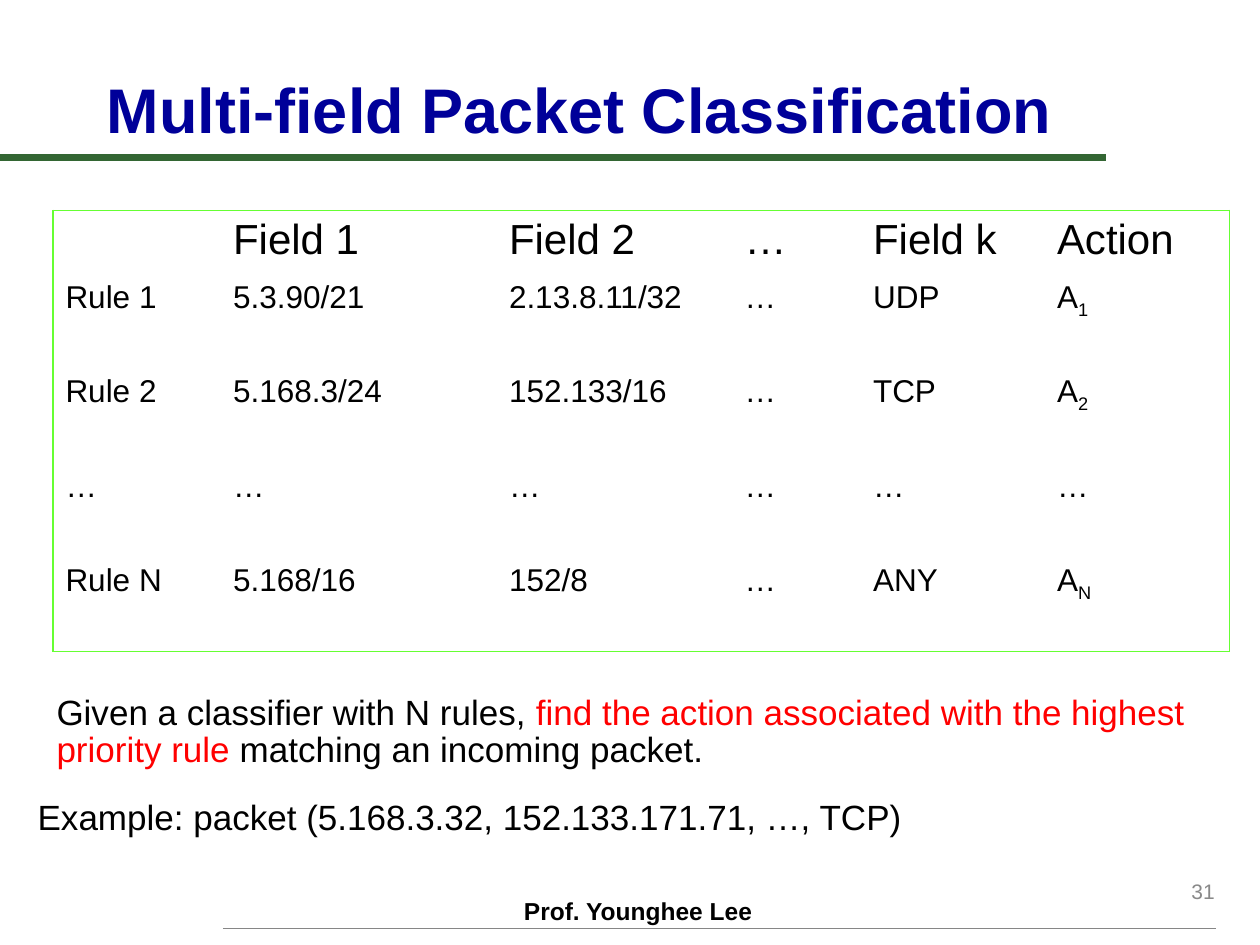
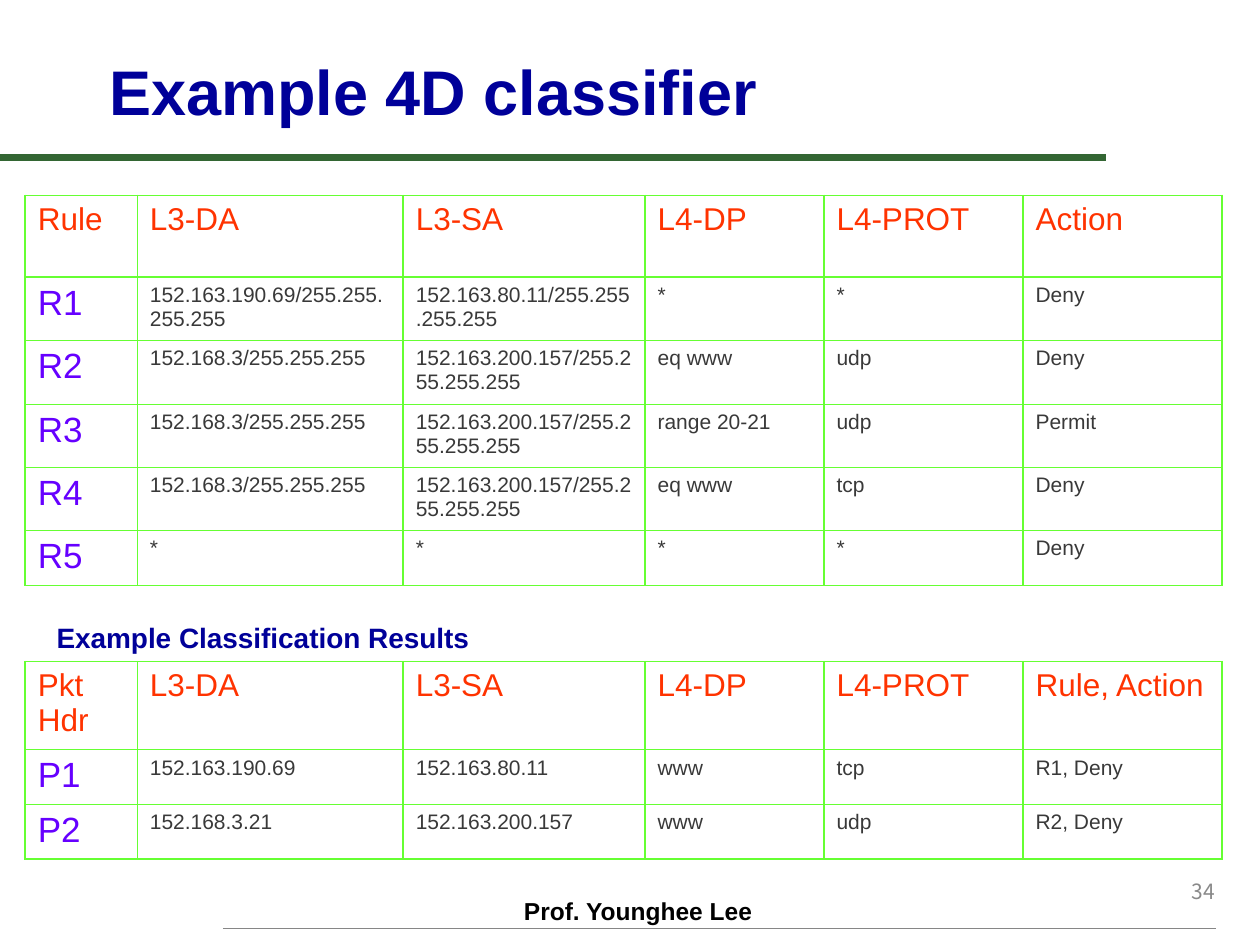
from lxml import etree
from pptx import Presentation
from pptx.dml.color import RGBColor
from pptx.enum.shapes import MSO_CONNECTOR
from pptx.enum.text import MSO_ANCHOR, PP_ALIGN
from pptx.oxml.ns import qn
from pptx.util import Inches, Pt

FONT = "Arial"
NAVY, BLACK, GREY, RED = "000099", "000000", "898989", "FF0000"
BAND_GREEN, RULE_GREY, BORDER_GREEN = "336633", "868686", "66FF33"
HEADER_ORANGE, LABEL_VIOLET, CELL_GREY = "FF3300", "6600FF", "393939"

FOOTER = "Prof. Younghee Lee"
# (from x, to x, y, colour, width in points)
MASTER_LINES = [(0, 8.78, 1.25, BAND_GREEN, 4), (1.77, 9.65, 7.37, RULE_GREY, 1)]

# A tuple in a cell is (text, subscript).
FIELD_ROWS = [
    ["", "Field 1", "Field 2", "…", "Field k", "Action"],
    ["Rule 1", "5.3.90/21", "2.13.8.11/32", "…", "UDP", ("A", "1")],
    ["Rule 2", "5.168.3/24", "152.133/16", "…", "TCP", ("A", "2")],
    ["…"] * 6,
    ["Rule N", "5.168/16", "152/8", "…", "ANY", ("A", "N")],
]
FIELD_COLUMNS = [1.33, 2.19, 1.87, 1.02, 1.46, 1.47]
FIELD_HEIGHTS = [0.5, 0.75, 0.75, 0.75, 0.75]

PROBLEM = [
    ("Given a classifier with N rules, ", BLACK),
    ("find the action associated with the highest priority rule", RED),
    (" matching an incoming packet.", BLACK),
]
EXAMPLE = [("Example: packet (5.168.3.32, 152.133.171.71, …, TCP)", BLACK)]

RULE_ROWS = [
    ["Rule", "L3-DA", "L3-SA", "L4-DP", "L4-PROT", "Action"],
    ["R1", "152.163.190.69/255.255.255.255", "152.163.80.11/255.255.255.255", "*", "*", "Deny"],
    ["R2", "152.168.3/255.255.255", "152.163.200.157/255.255.255.255", "eq www", "udp", "Deny"],
    ["R3", "152.168.3/255.255.255", "152.163.200.157/255.255.255.255", "range 20-21", "udp", "Permit"],
    ["R4", "152.168.3/255.255.255", "152.163.200.157/255.255.255.255", "eq www", "tcp", "Deny"],
    ["R5", "*", "*", "*", "*", "Deny"],
]
RULE_HEIGHTS = [0.65, 0.47, 0.51, 0.47, 0.47, 0.41]
RESULT_ROWS = [
    ["Pkt Hdr", "L3-DA", "L3-SA", "L4-DP", "L4-PROT", "Rule, Action"],
    ["P1", "152.163.190.69", "152.163.80.11", "www", "tcp", "R1, Deny"],
    ["P2", "152.168.3.21", "152.163.200.157", "www", "udp", "R2, Deny"],
]
RESULT_HEIGHTS = [0.66, 0.41, 0.41]
CLASSIFIER_COLUMNS = [0.89, 2.11, 1.92, 1.42, 1.58, 1.58]


def rgb(colour):
    return RGBColor.from_string(colour)


def add_run(paragraph, text, size, colour, bold=False, font=FONT):
    run = paragraph.add_run()
    run.text = text
    run.font.name = font
    run.font.size = Pt(size)
    run.font.bold = bold
    run.font.color.rgb = rgb(colour)
    return run


def add_text(slide, box, parts, size, bold=False, anchor=MSO_ANCHOR.MIDDLE,
             align=PP_ALIGN.LEFT, spacing=None, font=FONT):
    """Add a one-paragraph text box; parts are (text, colour) pairs."""
    text_frame = slide.shapes.add_textbox(*map(Inches, box)).text_frame
    text_frame.word_wrap = True
    text_frame.vertical_anchor = anchor
    paragraph = text_frame.paragraphs[0]
    paragraph.alignment = align
    paragraph.line_spacing = spacing
    for text, colour in parts:
        add_run(paragraph, text, size, colour, bold, font)


def add_line(slide, start, end, y, colour, width):
    line = slide.shapes.add_connector(
        MSO_CONNECTOR.STRAIGHT, Inches(start), Inches(y), Inches(end), Inches(y))
    line.line.color.rgb = rgb(colour)
    line.line.width = Pt(width)
    etree.SubElement(line._element.spPr, qn("a:effectLst"))


def set_borders(cell, drawn):
    """Draw the sides L, R, T, B for which drawn is true and clear the others."""
    properties = cell._tc.get_or_add_tcPr()
    for side, visible in drawn.items():
        line = etree.SubElement(properties, qn(f"a:ln{side}"), w=str(Pt(1)))
        if visible:
            fill = etree.SubElement(line, qn("a:solidFill"))
            etree.SubElement(fill, qn("a:srgbClr"), val=BORDER_GREEN)
        else:
            etree.SubElement(line, qn("a:noFill"))
    cell.fill.background()


def add_grid(slide, left, top, columns, heights, rows, style, inner_lines):
    """Add a table; style(row, column) gives the text size and colour."""
    table = slide.shapes.add_table(
        len(rows), len(columns), Inches(left), Inches(top),
        Inches(sum(columns)), Inches(sum(heights))).table
    table.first_row = table.horz_banding = False
    for column, width in zip(table.columns, columns):
        column.width = Inches(width)
    last_row, last_column = len(rows) - 1, len(columns) - 1
    for i, values in enumerate(rows):
        table.rows[i].height = Inches(heights[i])
        for j, value in enumerate(values):
            cell = table.cell(i, j)
            set_borders(cell, {
                "L": inner_lines or j == 0, "R": inner_lines or j == last_column,
                "T": inner_lines or i == 0, "B": inner_lines or i == last_row})
            text, subscript = value if isinstance(value, tuple) else (value, "")
            paragraph = cell.text_frame.paragraphs[0]
            if text:
                add_run(paragraph, text, *style(i, j))
            if subscript:
                run = add_run(paragraph, subscript, *style(i, j))
                run._r.get_or_add_rPr().set("baseline", "-25000")


def field_style(row, column):
    return (24 if row == 0 else 18), BLACK


def classifier_style(row, column):
    if row == 0:
        return 18, HEADER_ORANGE
    return (20, LABEL_VIOLET) if column == 0 else (12, CELL_GREY)


def add_base_slide(presentation, title, title_box, number, number_font=FONT):
    """Add a slide with the shared lines, footer, page number and title."""
    slide = presentation.slides.add_slide(presentation.slide_layouts[6])
    for line in MASTER_LINES:
        add_line(slide, *line)
    add_text(slide, (4.06, 7.06, 2.08, 0.33), [(FOOTER, BLACK)], 14, bold=True,
             anchor=MSO_ANCHOR.TOP)
    add_text(slide, (7.66, 6.82, 2.08, 0.5), [(number, GREY)], 12,
             align=PP_ALIGN.RIGHT, font=number_font)
    add_text(slide, title_box, [(title, NAVY)], 36, bold=True, anchor=MSO_ANCHOR.BOTTOM)
    return slide


def add_packet_classification(presentation):
    slide = add_base_slide(presentation, "Multi-field Packet Classification",
                           (0.75, 0.13, 9.67, 1.08), "31")
    add_text(slide, (0.35, 5.46, 9.42, 0.71), PROBLEM, 20, spacing=0.9)
    add_text(slide, (0.2, 6.3, 9.75, 0.4), EXAMPLE, 20, spacing=0.9)
    add_grid(slide, 0.42, 1.67, FIELD_COLUMNS, FIELD_HEIGHTS, FIELD_ROWS,
             field_style, inner_lines=False)


def add_classifier_example(presentation):
    slide = add_base_slide(presentation, "Example 4D classifier",
                           (0.77, 0.36, 8.15, 0.71), "34", "Noto Sans CJK KR")
    for top, heights, rows in [(1.55, RULE_HEIGHTS, RULE_ROWS),
                               (5.25, RESULT_HEIGHTS, RESULT_ROWS)]:
        add_grid(slide, 0.2, top, CLASSIFIER_COLUMNS, heights, rows,
                 classifier_style, inner_lines=True)
    add_text(slide, (0.35, 4.89, 8.15, 0.35), [("Example Classification Results", NAVY)],
             16, bold=True, anchor=MSO_ANCHOR.BOTTOM)


def main():
    presentation = Presentation()
    presentation.slide_width = Inches(10)
    presentation.slide_height = Inches(7.5)
    add_packet_classification(presentation)
    add_classifier_example(presentation)
    presentation.save("out.pptx")


if __name__ == "__main__":
    main()
